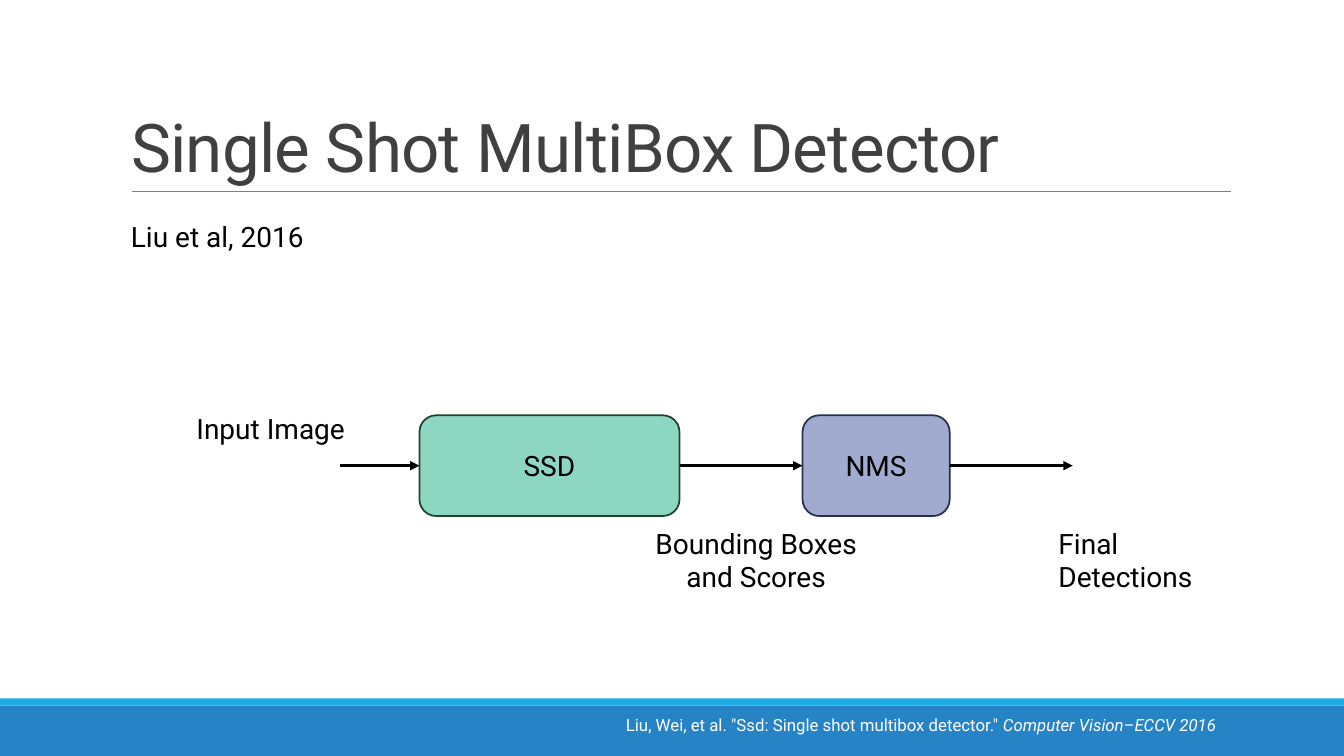
from lxml.etree import SubElement
from pptx import Presentation
from pptx.dml.color import RGBColor
from pptx.enum.shapes import MSO_CONNECTOR as Connector, MSO_SHAPE as Shape
from pptx.enum.text import MSO_ANCHOR as Anchor, MSO_AUTO_SIZE as AutoSize, PP_ALIGN as Align
from pptx.oxml.ns import qn
from pptx.util import Inches, Pt

BLACK = RGBColor(0x00, 0x00, 0x00)
WHITE = RGBColor(0xFF, 0xFF, 0xFF)
CHARCOAL = RGBColor(0x40, 0x40, 0x40)
GRAY = RGBColor(0x80, 0x80, 0x80)
BLUE = RGBColor(0x26, 0x83, 0xC6)
CYAN = RGBColor(0x1C, 0xAD, 0xE4)
MINT = RGBColor(0x8D, 0xD6, 0xC1)
DARK_GREEN = RGBColor(0x1F, 0x44, 0x2A)
LAVENDER = RGBColor(0xA1, 0xAB, 0xD0)
NAVY = RGBColor(0x27, 0x30, 0x4E)

COLUMNS, ROWS = 133.3, 75
RIGHT_SIDE, LEFT_SIDE = 3, 1


class SlideBuilder:
    font_name = "Roboto"
    body_size = 20

    def __init__(self, deck):
        self.page = deck.slides.add_slide(deck.slide_layouts[5])
        self.column = deck.slide_width / COLUMNS
        self.row = deck.slide_height / ROWS

    def place(self, *cells):
        units = (self.column, self.row) * 2
        return [round(cell * unit) for cell, unit in zip(cells, units)]

    def add_span(self, para, text, size=body_size, color=BLACK, italic=False):
        span = para.add_run()
        span.text = text
        span.font.name = self.font_name
        span.font.size = Pt(size)
        span.font.color.rgb = color
        span.font.italic = italic
        return span

    def title(self, text, cells):
        box = self.page.shapes.title
        box.left, box.top, box.width, box.height = self.place(*cells)
        frame = box.text_frame
        frame.auto_size = AutoSize.NONE
        frame.vertical_anchor = Anchor.BOTTOM
        para = frame.paragraphs[0]
        para.alignment = Align.LEFT
        para.line_spacing = 0.85
        span = self.add_span(para, text, 48, CHARCOAL)
        span.font.language_id = None
        span.font.bold = False
        para.runs[0].font.fill.solid()
        para.runs[0].font.color.rgb = CHARCOAL
        para.runs[0]._r.get_or_add_rPr().set("spc", "-50")

    def label(self, lines, cells, wrap=True, align=Align.LEFT, **style):
        box = self.page.shapes.add_textbox(*self.place(*cells))
        frame = box.text_frame
        frame.word_wrap = wrap
        frame.auto_size = AutoSize.SHAPE_TO_FIT_TEXT
        for index, line in enumerate(lines):
            para = frame.add_paragraph() if index else frame.paragraphs[0]
            para.alignment = align
            for text, italic in line:
                self.add_span(para, text, italic=italic, **style)

    def block(self, kind, cells, fill, outline=None, text=None):
        box = self.page.shapes.add_shape(kind, *self.place(*cells))
        box.shadow.inherit = False
        box.fill.solid()
        box.fill.fore_color.rgb = fill
        if outline is None:
            box.line.fill.background()
        else:
            box.line.color.rgb = outline
            box.line.width = Pt(1.25)
        if text:
            box.text_frame.vertical_anchor = Anchor.MIDDLE
            para = box.text_frame.paragraphs[0]
            para.alignment = Align.CENTER
            self.add_span(para, text)
        return box

    def line(self, cells, color, width, arrow=False, source=None, target=None):
        connector = self.page.shapes.add_connector(Connector.STRAIGHT, *self.place(*cells))
        if source is not None:
            connector.begin_connect(source, RIGHT_SIDE)
        if target is not None:
            connector.end_connect(target, LEFT_SIDE)
        connector.line.color.rgb = color
        connector.line.width = Pt(width)
        properties = connector.element.spPr
        if arrow:
            SubElement(properties.find(qn("a:ln")), qn("a:tailEnd"), type="triangle")
        SubElement(properties, qn("a:effectLst"))


def main():
    deck = Presentation()
    deck.slide_width, deck.slide_height = Inches(13.33), Inches(7.5)
    slide = SlideBuilder(deck)

    slide.block(Shape.RECTANGLE, (0, 70, COLUMNS, 5), BLUE)
    slide.block(Shape.RECTANGLE, (0, 69.3, COLUMNS, 0.7), CYAN)
    slide.line((13.1, 19, 122.1, 19), GRAY, 0.5)
    slide.title("Single Shot MultiBox Detector", (12, 3.1, 110, 15.9))

    citation = [
        ('Liu, Wei, et al. "Ssd: Single shot multibox detector."\u00a0'.replace("\u00a0", " "), False),
        ("Computer Vision–ECCV 2016", True),
    ]
    slide.label([citation], (61.1, 70.4, 72, 3), size=12, color=WHITE)
    slide.label([[("Liu et al, 2016", False)]], (12, 21.3, 20.7, 4.4), wrap=False)

    top, height = 41.2, 10
    middle = top + height / 2
    detector = slide.block(Shape.ROUNDED_RECTANGLE, (41.6, top, 25.8, height), MINT, DARK_GREEN, "SSD")
    suppression = slide.block(Shape.ROUNDED_RECTANGLE, (79.6, top, 14.6, height), LAVENDER, NAVY, "NMS")

    arrows = [
        (33.7, 41.6, None, detector),
        (67.4, 79.6, detector, suppression),
        (94.2, 106.4, suppression, None),
    ]
    for start, end, source, target in arrows:
        slide.line((start, middle, end, middle), BLACK, 2.25, True, source, target)

    slide.label([[("Input Image", False)]], (18.5, 40.3, 18, 4.4))
    slide.label([[("Bounding Boxes", False)], [("and Scores", False)]],
                (63.1, 51.7, 23.8, 7.7), wrap=False, align=Align.CENTER)
    slide.label([[("Final Detections", False)]], (104, 51.7, 18, 7.7))
    deck.save("out.pptx")


if __name__ == "__main__":
    main()
